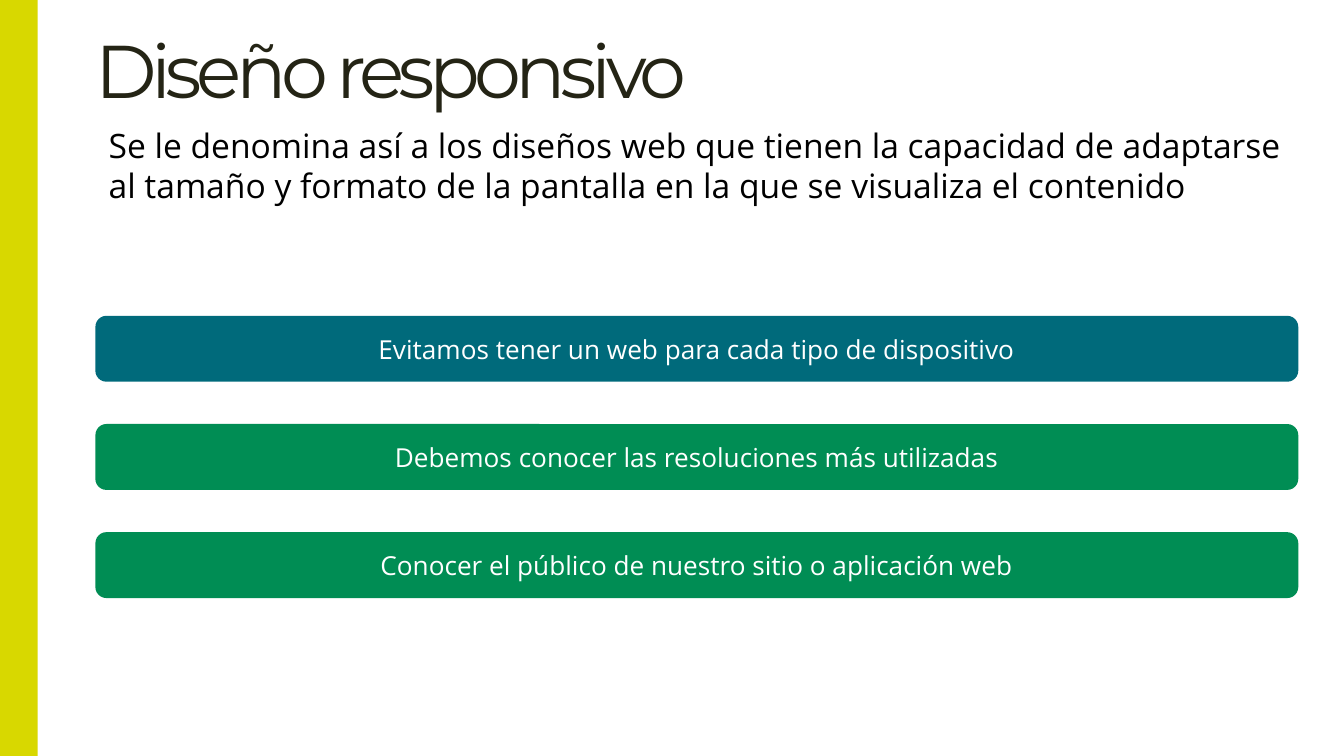
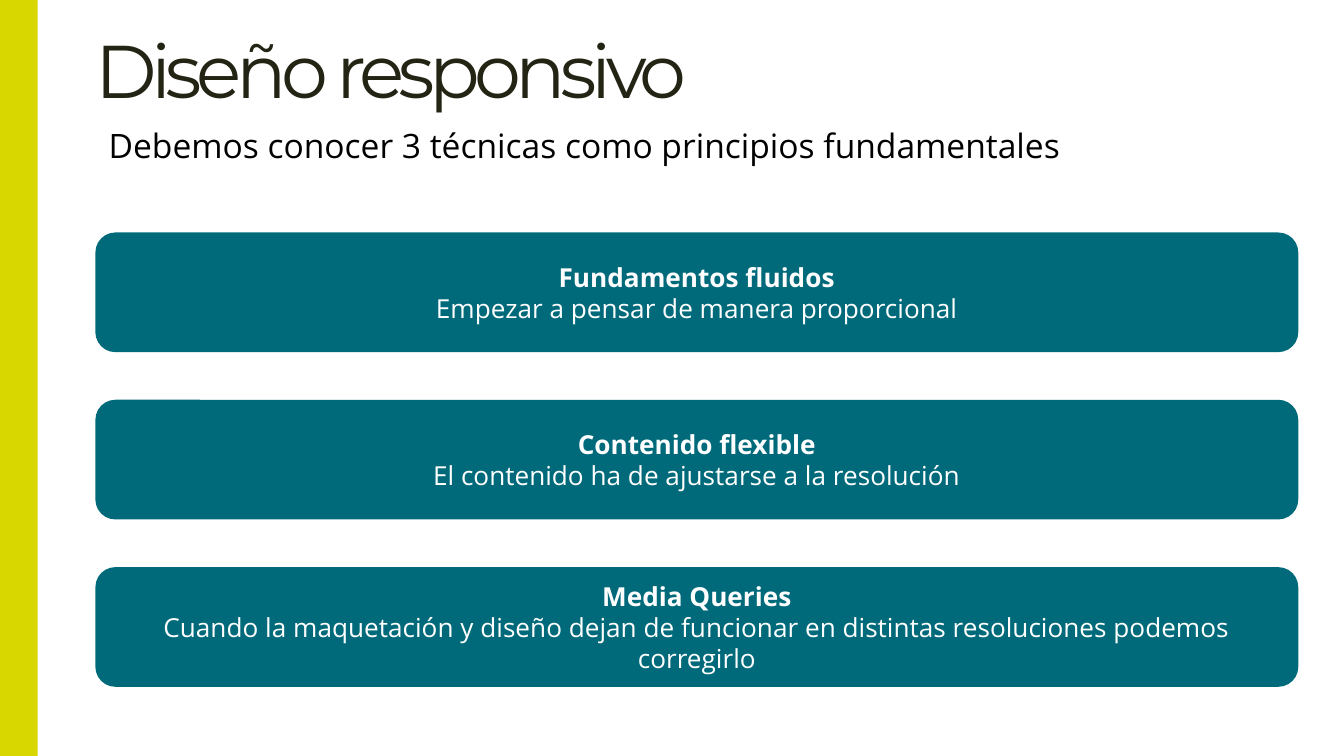
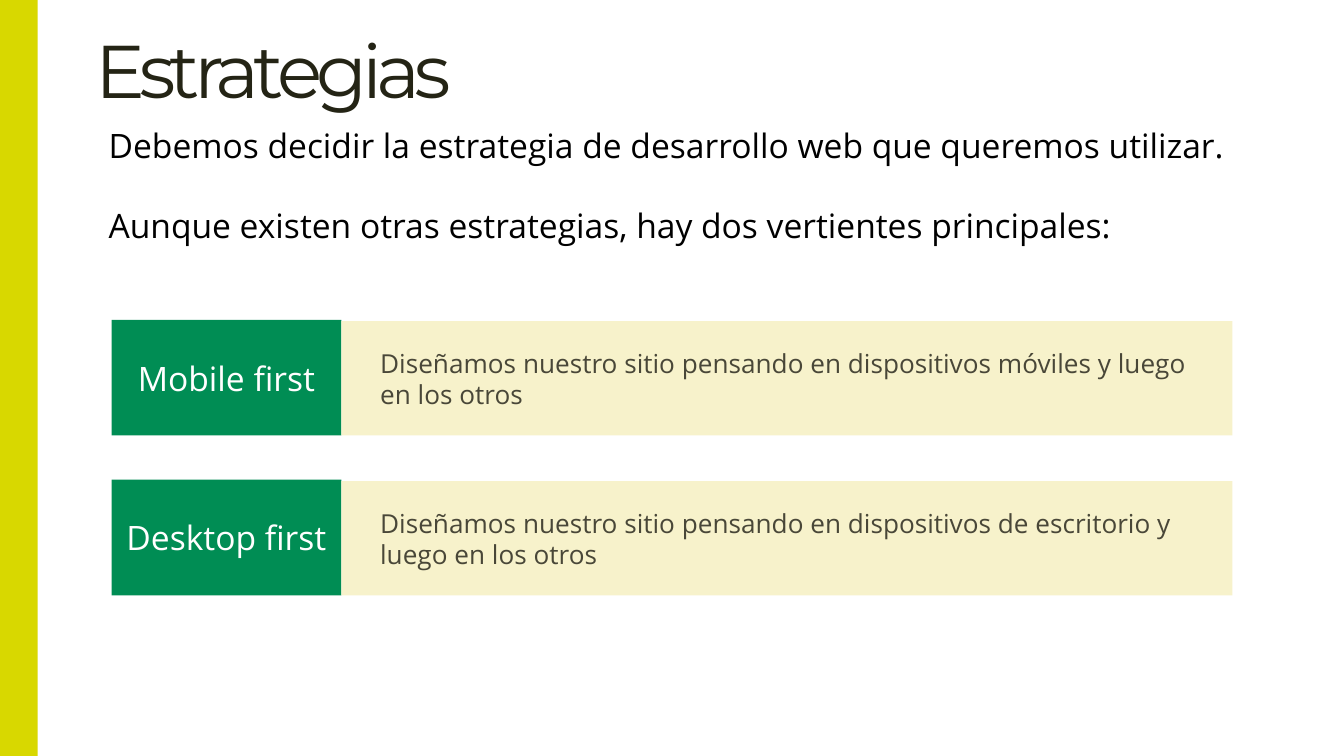
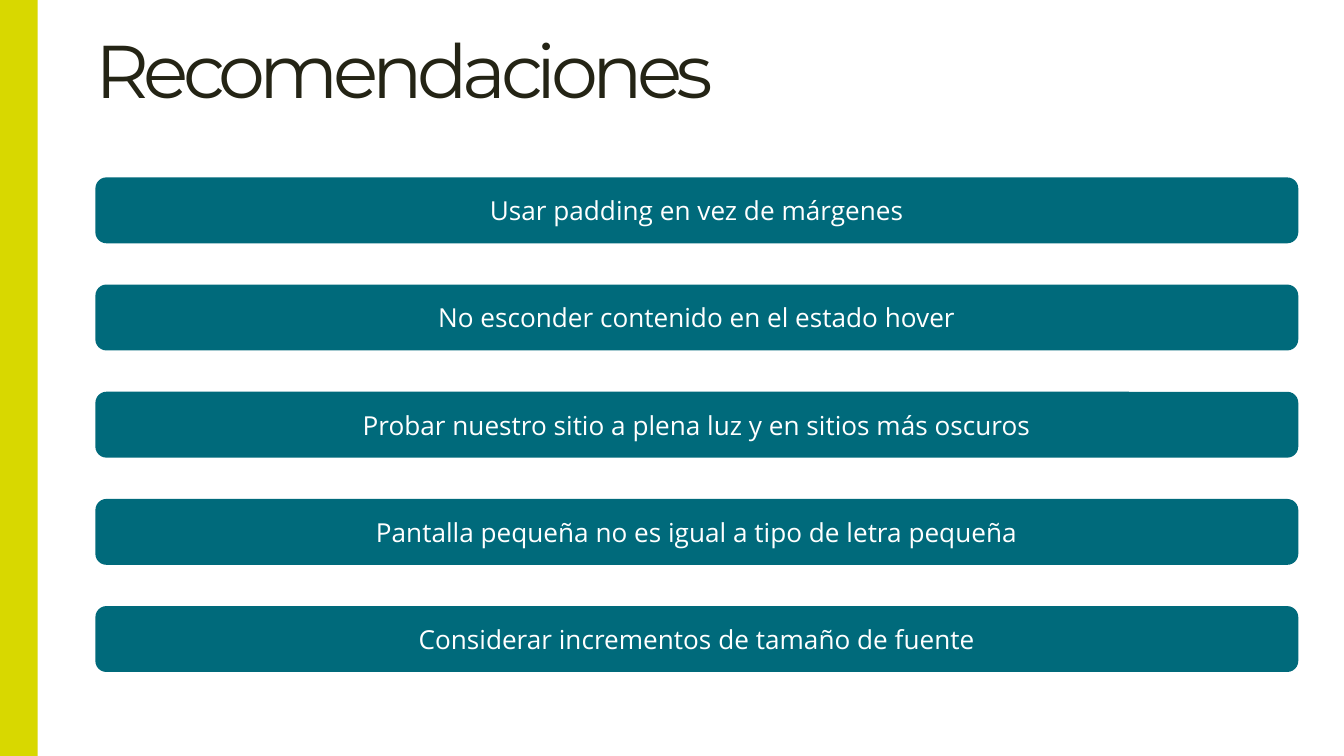
from pptx import Presentation
from pptx import util as u
from pptx.dml import color
from pptx.enum import shapes, text

TEAL, GREEN, LIME, CREAM = "006A7B", "008D54", "D8D800", "F7F2CB"
INK, GREY, BLACK, WHITE = "242415", "494738", "000000", "FFFFFF"
HEAD, BODY = "Montserrat", "Open Sans"
RECT = shapes.MSO_SHAPE.RECTANGLE
ROUND = shapes.MSO_SHAPE.ROUNDED_RECTANGLE
LEFT, MID = text.PP_ALIGN.LEFT, text.PP_ALIGN.CENTER
EDGE, WIDE = 0.71, 8.95
FULL = 10 * 9 / 16  # height of a 16:9 slide


def rgb(code):
    return color.RGBColor.from_string(code)


def box(page, area, words="", fill=None, kind=RECT, size=14, tint=WHITE,
        face=BODY, align=MID):
    """Add a filled shape, or a plain text box when there is no fill."""
    spot = [u.Inches(n) for n in area]
    if fill:
        item = page.shapes.add_shape(kind, *spot)
        item.shadow.inherit = False
        item.fill.solid()
        item.fill.fore_color.rgb = rgb(fill)
        item.line.fill.background()
    else:
        item = page.shapes.add_textbox(*spot)
    frame = item.text_frame
    frame.word_wrap = True
    frame.text = words
    for para in frame.paragraphs:
        para.alignment = align
        for run in para.runs:
            run.font.name = face
            run.font.size = u.Pt(size)
            run.font.color.rgb = rgb(tint)
    return frame


deck = Presentation()
deck.slide_width, deck.slide_height = u.Inches(10), u.Inches(FULL)

# Title, intro, height of the intro
heads = [
    ("Diseño responsivo",
     "Se le denomina así a los diseños web que tienen la capacidad de adaptarse "
     "al tamaño y formato de la pantalla en la que se visualiza el contenido", 0.71),
    ("Diseño responsivo",
     "Debemos conocer 3 técnicas como principios fundamentales", 0.4),
    ("Estrategias",
     "Debemos decidir la estrategia de desarrollo web que queremos utilizar.\n"
     "Aunque existen otras estrategias, hay dos vertientes principales:", 1.01),
    ("Recomendaciones", "", 0),
]

# Shared parts: title, side band, intro
pages = []
for name, intro, tall in heads:
    page = deck.slides.add_slide(deck.slide_layouts[6])
    pages.append(page)
    title = box(page, (EDGE, 0, 9.02, 0.89), name, size=40, tint=INK,
                face=HEAD, align=LEFT)
    title.margin_left = 0
    title.vertical_anchor = text.MSO_ANCHOR.BOTTOM
    title.paragraphs[0].runs[0].font._element.set("spc", "-300")
    box(page, (0, 0, 0.28, FULL), fill=LIME)
    if intro:
        lead = box(page, (EDGE, 0.88, WIDE, tall), intro, size=18,
                   tint=BLACK, align=LEFT)
        lead.auto_size = text.MSO_AUTO_SIZE.SHAPE_TO_FIT_TEXT
        for para in lead.paragraphs[1:]:
            para.space_before = u.Pt(21.5)

# Rounded bars: page, first top, last top, height, fills, texts
stacks = [
    (pages[0], 2.35, 3.96, 0.49, [TEAL, GREEN, GREEN], [
        "Evitamos tener un web para cada tipo de dispositivo",
        "Debemos conocer las resoluciones más utilizadas",
        "Conocer el público de nuestro sitio o aplicación web"]),
    (pages[1], 1.73, 4.22, 0.89, [TEAL] * 3, [
        "Fundamentos fluidos\nEmpezar a pensar de manera proporcional",
        "Contenido flexible\nEl contenido ha de ajustarse a la resolución",
        "Media Queries\nCuando la maquetación y diseño dejan de funcionar "
        "en distintas resoluciones podemos corregirlo"]),
    (pages[3], 1.32, 4.51, 0.49, [TEAL] * 5, [
        "Usar padding en vez de márgenes",
        "No esconder contenido en el estado hover",
        "Probar nuestro sitio a plena luz y en sitios más oscuros",
        "Pantalla pequeña no es igual a tipo de letra pequeña",
        "Considerar incrementos de tamaño de fuente"]),
]
for page, top, last, tall, fills, lines in stacks:
    step = (last - top) / (len(lines) - 1)
    for row, (fill, line) in enumerate(zip(fills, lines)):
        bar = box(page, (EDGE, top + row * step, WIDE, tall), line, fill, ROUND)
        if len(bar.paragraphs) > 1:
            bar.paragraphs[0].runs[0].font.bold = True

# Strategies: green label with a cream note beside it
plans = [
    ("Mobile first",
     "Diseñamos nuestro sitio pensando en dispositivos móviles y luego en los otros"),
    ("Desktop first",
     "Diseñamos nuestro sitio pensando en dispositivos de escritorio y luego en los otros"),
]
for row, (label, note) in enumerate(plans):
    top = 2.38 + row * 1.19
    box(pages[2], (0.83, top, 1.71, 0.86), label, GREEN, size=18)
    side = box(pages[2], (2.54, top + 0.01, 6.63, 0.85), note, CREAM,
               tint=GREY, align=LEFT)
    props = side.paragraphs[0]._p.get_or_add_pPr()
    props.set("marL", str(u.Inches(0.19)))
    props.set("indent", "0")

deck.save("out.pptx")
